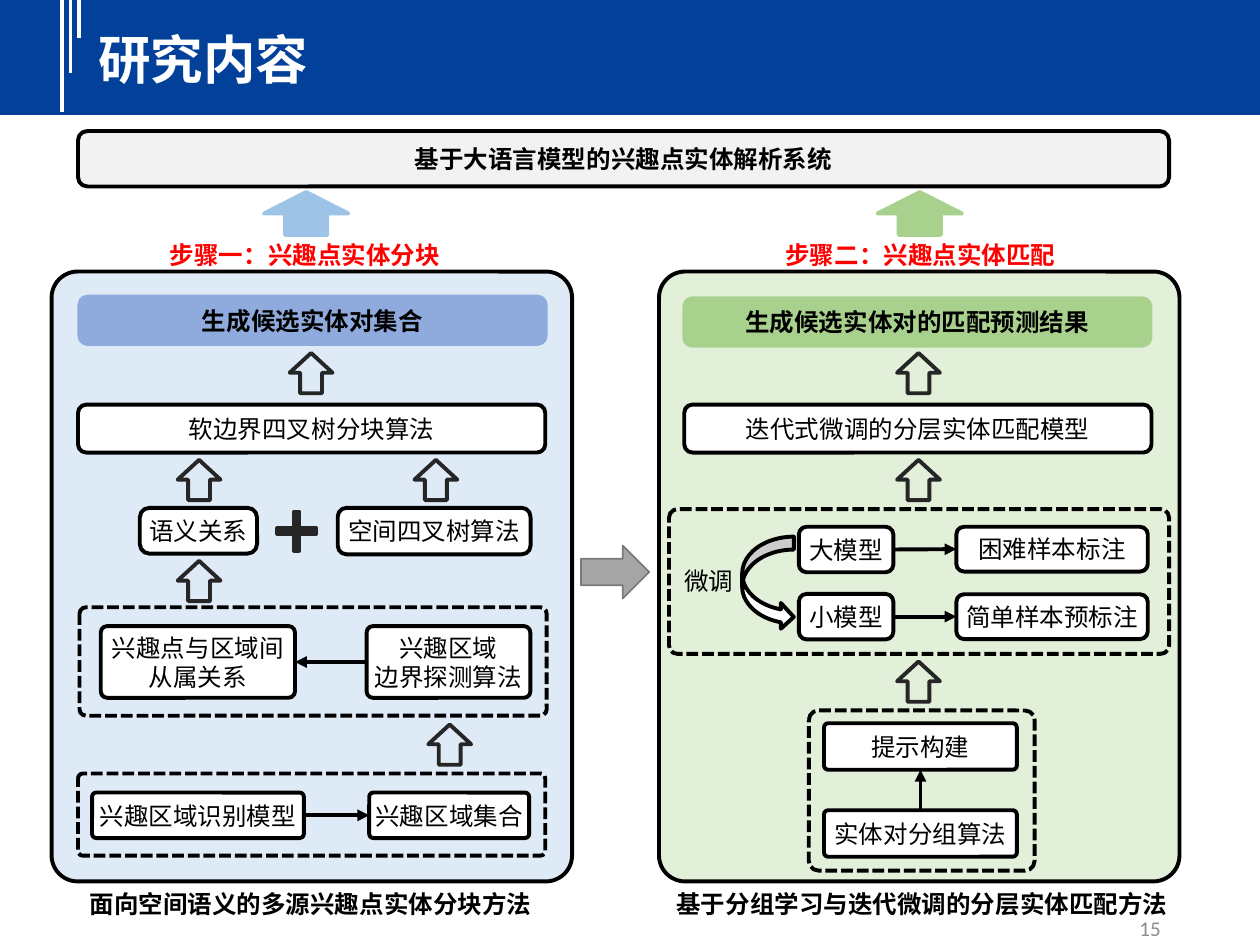
from typing import NamedTuple, Optional

from lxml.etree import SubElement
from pptx import Presentation
from pptx.dml.color import RGBColor
from pptx.enum.dml import MSO_LINE
from pptx.enum.shapes import MSO_CONNECTOR, MSO_SHAPE
from pptx.enum.text import MSO_ANCHOR, PP_ALIGN
from pptx.oxml.ns import qn
from pptx.util import Pt

NAVY = RGBColor(0x02, 0x40, 0x9A)
WHITE = RGBColor(0xFF, 0xFF, 0xFF)
BLACK = RGBColor(0, 0, 0)
RED = RGBColor(0xFF, 0, 0)
CHARCOAL = RGBColor(0x26, 0x26, 0x26)
PALE_GRAY = RGBColor(0xF2, 0xF2, 0xF2)
GRAY = RGBColor(0xA5, 0xA5, 0xA5)
DARK_GRAY = RGBColor(0x7A, 0x7A, 0x7A)
PAGE_GRAY = RGBColor(0x8C, 0x8C, 0x8C)
PALE_BLUE = RGBColor(0xDE, 0xEB, 0xF7)
SKY = RGBColor(0x9D, 0xC3, 0xE6)
BLUE = RGBColor(0x8F, 0xAA, 0xDC)
PALE_GREEN = RGBColor(0xE2, 0xF0, 0xD9)
GREEN = RGBColor(0xA9, 0xD1, 0x8E)
CJK = "Noto Sans CJK SC"
LINE_WIDTH = 2.25


class Box(NamedTuple):
    left: float
    top: float
    width: float
    height: float
    text: str = ""
    fill: Optional[RGBColor] = WHITE
    line: Optional[RGBColor] = BLACK
    radius: float = 0.17
    bold: bool = False
    dashed: bool = False


class Label(NamedTuple):
    left: float
    top: float
    width: float
    height: float
    text: str
    color: RGBColor = BLACK
    size: float = 14
    bold: bool = True
    align: PP_ALIGN = PP_ALIGN.CENTER
    font: str = CJK


class Link(NamedTuple):
    start: str
    start_site: int
    end: str
    end_site: int


def write(tf, text: str, color: RGBColor, size: float, bold: bool, align: PP_ALIGN, font: str) -> None:
    tf.vertical_anchor = MSO_ANCHOR.MIDDLE
    for i, line in enumerate(text.split("\n")):
        p = tf.paragraphs[0] if i == 0 else tf.add_paragraph()
        p.alignment = align
        r = p.add_run()
        r.text = line
        r.font.size = Pt(size)
        r.font.bold = bold
        r.font.color.rgb = color
        r.font.name = font
        SubElement(r.font._element, qn("a:ea"), typeface=font)


def add_figure(s, kind, left: float, top: float, width: float, height: float,
               fill: Optional[RGBColor], line: Optional[RGBColor], weight: float = LINE_WIDTH):
    sp = s.shapes.add_shape(kind, Pt(left), Pt(top), Pt(width), Pt(height))
    sp.shadow.inherit = False
    if fill is None:
        sp.fill.background()
    else:
        sp.fill.solid()
        sp.fill.fore_color.rgb = fill
    if line is None:
        sp.line.fill.background()
    else:
        sp.line.color.rgb = line
        sp.line.width = Pt(weight)
    return sp


def add_box(s, box: Box):
    sp = add_figure(s, MSO_SHAPE.ROUNDED_RECTANGLE, *box[:4], box.fill, box.line)
    sp.adjustments[0] = box.radius
    if box.dashed:
        sp.line.dash_style = MSO_LINE.SQUARE_DOT
    if box.text:
        tf = sp.text_frame
        tf.margin_left = tf.margin_right = tf.margin_top = tf.margin_bottom = 0
        write(tf, box.text, BLACK, 14, box.bold, PP_ALIGN.CENTER, CJK)
    return sp


def add_label(s, label: Label) -> None:
    tf = s.shapes.add_textbox(*(Pt(v) for v in label[:4])).text_frame
    tf.word_wrap = True
    write(tf, *label[4:])


def add_up_arrow(s, center_x: float, center_y: float, length: float, breadth: float,
                 fill: Optional[RGBColor], line: RGBColor):
    sp = add_figure(s, MSO_SHAPE.RIGHT_ARROW, center_x - length / 2, center_y - breadth / 2,
                    length, breadth, fill, line)
    sp.rotation = 270
    return sp


def add_line(s, x1: float, y1: float, x2: float, y2: float, color: RGBColor):
    c = s.shapes.add_connector(MSO_CONNECTOR.STRAIGHT, Pt(x1), Pt(y1), Pt(x2), Pt(y2))
    c.line.color.rgb = color
    c.line.width = Pt(LINE_WIDTH)
    SubElement(c._element.spPr, qn("a:effectLst"))
    return c


def add_link(s, nodes: dict, link: Link) -> None:
    c = add_line(s, 0, 0, 0, 0, BLACK)
    c.begin_connect(nodes[link.start], link.start_site)
    c.end_connect(nodes[link.end], link.end_site)
    SubElement(c.line._get_or_add_ln(), qn("a:tailEnd"), type="triangle")


FRAMES = [
    Box(44.6, 74.9, 623.5, 31.7, "基于大语言模型的兴趣点实体解析系统", PALE_GRAY, bold=True),
    Box(29.5, 155.2, 297.4, 348.5, fill=PALE_BLUE, radius=0.05),
    Box(376.6, 155.2, 297.4, 348.5, fill=PALE_GREEN, radius=0.05),
    Box(45.4, 169.5, 266.4, 27, "生成候选实体对集合", BLUE, BLUE, bold=True),
    Box(391, 170.5, 266.4, 27, "生成候选实体对的匹配预测结果", GREEN, GREEN, bold=True),
    Box(45.4, 347, 267, 62, fill=None, radius=0.06, dashed=True),
    Box(44.6, 442, 267, 47, fill=None, radius=0.06, dashed=True),
    Box(382.3, 290.9, 285.8, 82.8, fill=None, radius=0.06, dashed=True),
    Box(462.2, 406, 129, 91.5, fill=None, radius=0.06, dashed=True),
]
NODES = {
    "quadtree_blocking": Box(44.6, 231.2, 267, 27.4, "软边界四叉树分块算法"),
    "semantic_relation": Box(79.9, 290.2, 67, 26.2, "语义关系", radius=0.21),
    "spatial_quadtree": Box(193, 290.2, 110.2, 26.6, "空间四叉树算法", radius=0.19),
    "membership": Box(57.6, 357.8, 111, 41, "兴趣点与区域间\n从属关系", radius=0.09),
    "boundary_detection": Box(209.5, 357.8, 93.6, 41, "兴趣区域\n边界探测算法", radius=0.09),
    "region_model": Box(52.6, 452.9, 121, 26, "兴趣区域识别模型", radius=0.09),
    "region_set": Box(211, 452.9, 91.4, 26, "兴趣区域集合", radius=0.09),
    "matching_model": Box(391, 231.2, 267, 27.4, "迭代式微调的分层实体匹配模型"),
    "large_model": Box(456.5, 301, 54, 26, "大模型"),
    "hard_samples": Box(546.5, 301, 109.4, 25.6, "困难样本标注"),
    "small_model": Box(456.5, 339.4, 54, 26, "小模型"),
    "easy_samples": Box(546.5, 339.6, 109.4, 25.6, "简单样本预标注"),
    "prompt_building": Box(470.9, 413.3, 110.2, 26.6, "提示构建", radius=0.09),
    "pair_grouping": Box(470.9, 463, 110.2, 26.6, "实体对分组算法", radius=0.09),
}
LINKS = [
    Link("region_model", 3, "region_set", 1),
    Link("boundary_detection", 1, "membership", 3),
    Link("large_model", 3, "hard_samples", 1),
    Link("small_model", 3, "easy_samples", 1),
    Link("pair_grouping", 0, "prompt_building", 2),
]
LABELS = [
    Label(49, 11.5, 656.6, 44, "研究内容", WHITE, 30, align=PP_ALIGN.LEFT),
    Label(71.3, 133.2, 206, 24.5, "步骤一：兴趣点实体分块", RED),
    Label(423, 133.2, 206, 24.5, "步骤二：兴趣点实体匹配", RED),
    Label(20, 504, 315, 24.5, "面向空间语义的多源兴趣点实体分块方法"),
    Label(369.4, 504, 315, 24.5, "基于分组学习与迭代微调的分层实体匹配方法"),
    Label(382.3, 319.7, 45.4, 24.5, "微调", bold=False),
    Label(508.3, 516.2, 162, 28.8, "15", PAGE_GRAY, 12, False, PP_ALIGN.RIGHT, "Calibri"),
]
HOLLOW_ARROWS = [(177.8, 213.2), (113.8, 274.3), (249.1, 274.3), (113.8, 332), (257, 425.5),
                 (524.9, 213.2), (524.9, 274.3), (524.9, 389.5)]
WIDE_ARROWS = [(175, SKY), (525.6, GREEN)]
HEADER_BARS = [(35.3, 64), (40.3, 41.8), (45.4, 21.6)]


def main() -> None:
    prs = Presentation()
    prs.slide_width, prs.slide_height = Pt(720), Pt(540)
    s = prs.slides.add_slide(prs.slide_layouts[6])

    add_figure(s, MSO_SHAPE.RECTANGLE, 0, -2, 720, 67.7, NAVY, None)
    for x, bottom in HEADER_BARS:
        add_line(s, x, -2, x, bottom, WHITE)
    for frame in FRAMES:
        add_box(s, frame)
    nodes = {name: add_box(s, box) for name, box in NODES.items()}
    for link in LINKS:
        add_link(s, nodes, link)
    for x, color in WIDE_ARROWS:
        add_up_arrow(s, x, 122, 24.5, 48.2, color, color)
    for x, y in HOLLOW_ARROWS:
        sp = add_up_arrow(s, x, y, 23, 24.5, None, CHARCOAL)
        sp.adjustments[0], sp.adjustments[1] = 0.51, 0.49
    plus = add_figure(s, MSO_SHAPE.CROSS, 158.4, 292.3, 22.3, 22.3, CHARCOAL, CHARCOAL)
    plus.adjustments[0] = 0.43
    add_figure(s, MSO_SHAPE.RIGHT_ARROW, 332, 311.8, 39, 30.2, GRAY, DARK_GRAY, 1)
    add_figure(s, MSO_SHAPE.CURVED_RIGHT_ARROW, 424.1, 306.7, 29.5, 53.3, WHITE, BLACK)
    for label in LABELS:
        add_label(s, label)

    prs.save("out.pptx")


if __name__ == "__main__":
    main()
